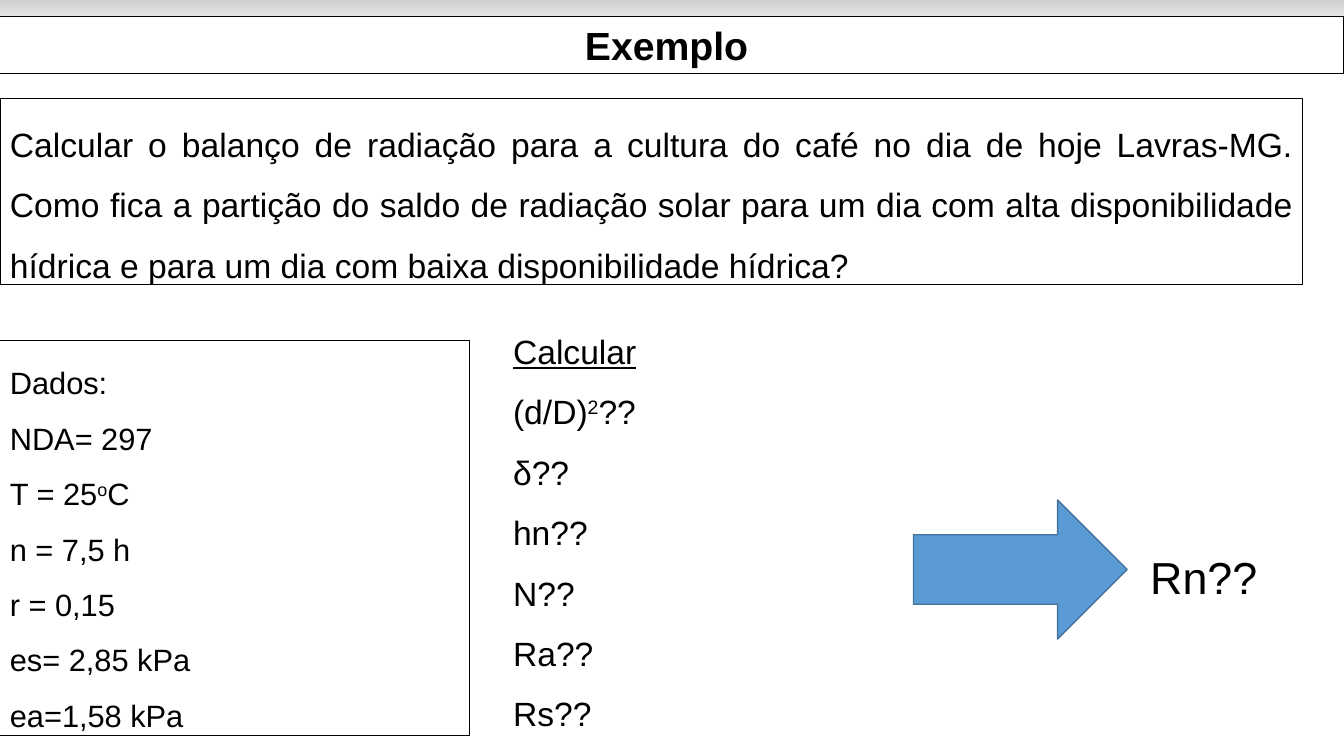
from pptx import Presentation
from pptx.dml.color import RGBColor
from pptx.enum.shapes import MSO_SHAPE
from pptx.enum.text import MSO_ANCHOR, MSO_AUTO_SIZE, PP_ALIGN
from pptx.util import Inches, Pt

RECT, ARROW = MSO_SHAPE.RECTANGLE, MSO_SHAPE.RIGHT_ARROW
TOP, FIT = MSO_ANCHOR.TOP, MSO_AUTO_SIZE.SHAPE_TO_FIT_TEXT
CENTER, JUSTIFY = PP_ALIGN.CENTER, PP_ALIGN.JUSTIFY
WHITE = RGBColor(0xFF, 0xFF, 0xFF)
BLACK = RGBColor(0, 0, 0)
GREY = RGBColor(0xD1, 0xD1, 0xD1)
BLUE = RGBColor(0x5B, 0x9B, 0xD5)
DARK_BLUE = RGBColor(0x43, 0x73, 0x9E)
SUPERSCRIPT = "30000"

QUESTION = (
    "Calcular o balanço de radiação para a cultura do café no dia de hoje Lavras-MG. "
    "Como fica a partição do saldo de radiação solar para um dia com alta "
    "disponibilidade hídrica e para um dia com baixa disponibilidade hídrica?"
)
DATA = ["Dados:", "NDA= 297", "T = 25^o^C", "n = 7,5 h", "r = 0,15",
        "es= 2,85 kPa", "ea=1,58 kPa"]
UNKNOWNS = ["Calcular", "(d/D)^2^??", "δ??", "hn??", "N??", "Ra??", "Rs??"]


def set_background(s):
    """Fill the slide with white that turns grey at the top edge."""
    fill = s.background.fill
    fill.gradient()
    fill.gradient_angle = 90
    for stop, position, color in zip(fill.gradient_stops, (0.95, 1), (WHITE, GREY)):
        stop.position = position
        stop.color.rgb = color


def add_shape(s, kind, box, fill, line, width=0.75):
    """Add a flat preset shape and return it."""
    sp = s.shapes.add_shape(kind, *map(Inches, box))
    sp.shadow.inherit = False
    sp.fill.solid()
    sp.fill.fore_color.rgb = fill
    sp.line.color.rgb = line
    sp.line.width = Pt(width)
    return sp


def add_runs(p, text, formats):
    """Add runs to a paragraph, raising the parts between carets."""
    for i, part in enumerate(text.split("^")):
        r = p.add_run()
        r.text = part
        r.font.color.rgb = BLACK
        for name, value in formats.items():
            setattr(r.font, name, value)
        if i % 2:
            r._r.get_or_add_rPr().set("baseline", SUPERSCRIPT)


def add_text_panel(s, box, lines, size, line=BLACK, align=JUSTIFY, spacing=1.5, bold=False):
    """Add a white box with one paragraph per line and return its paragraphs."""
    tf = add_shape(s, RECT, box, WHITE, line).text_frame
    for name, value in {"word_wrap": True, "auto_size": FIT, "vertical_anchor": TOP}.items():
        setattr(tf, name, value)
    formats = {"name": "Arial", "size": Pt(size), "bold": bold}
    for i, text in enumerate(lines):
        p = tf.add_paragraph() if i else tf.paragraphs[0]
        p.alignment = align
        p.line_spacing = spacing
        add_runs(p, text, formats)
    return tf.paragraphs


def main():
    """Build the radiation balance exercise slide."""
    prs = Presentation()
    prs.slide_width, prs.slide_height = Inches(13.33), Inches(7.5)
    s = prs.slides.add_slide(prs.slide_layouts[6])
    set_background(s)
    add_text_panel(s, (0, 0.16, 13.33, 0.57), ["Exemplo "], 28,
                   align=CENTER, spacing=1.0, bold=True)
    add_text_panel(s, (0, 3.38, 4.66, 3.92), DATA, 22)
    add_text_panel(s, (0, 0.98, 12.92, 1.84), [QUESTION], 24)
    unknowns = add_text_panel(s, (4.99, 3.03, 2.95, 4.27), UNKNOWNS, 24, line=WHITE)
    unknowns[0].runs[0].font.underline = True
    add_text_panel(s, (11.31, 5.14, 1.47, 0.81), ["Rn??"], 32, line=WHITE)
    add_shape(s, ARROW, (9.06, 4.96, 2.12, 1.38), BLUE, DARK_BLUE, 1)
    prs.save("out.pptx")


if __name__ == "__main__":
    main()
